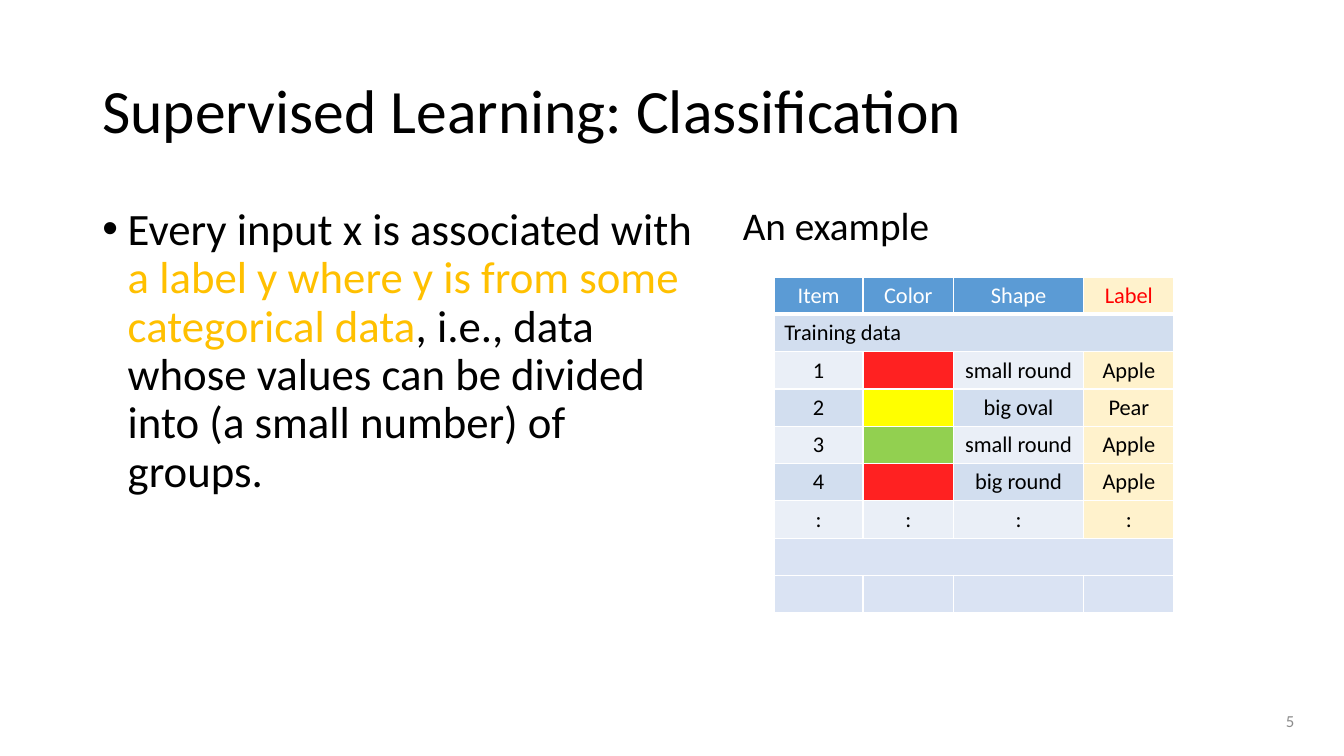
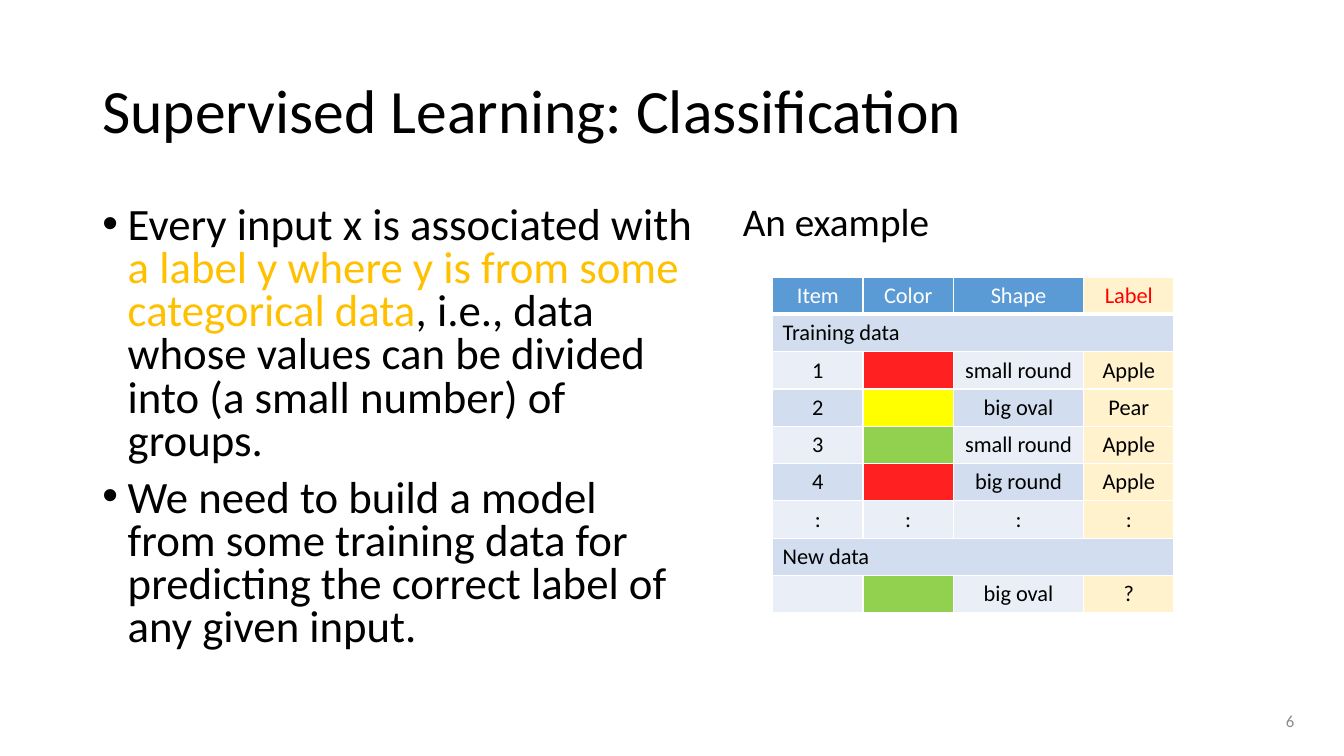
from dataclasses import dataclass

from lxml import etree
from pptx import Presentation
from pptx.dml.color import RGBColor
from pptx.enum.text import MSO_ANCHOR, PP_ALIGN
from pptx.oxml.ns import qn
from pptx.util import Cm, Pt

LEFT, CENTER, RIGHT = PP_ALIGN.LEFT, PP_ALIGN.CENTER, PP_ALIGN.RIGHT
TOP, MIDDLE = MSO_ANCHOR.TOP, MSO_ANCHOR.MIDDLE
BLANK_LAYOUT = 6


@dataclass(frozen=True)
class Theme:
    font: str = "Calibri"
    title_size: int = 44
    body_size: int = 32
    caption_size: int = 28
    table_size: int = 16
    number_size: int = 12
    text: str = "000000"
    accent: str = "FFC000"
    muted: str = "8C8C8C"
    white: str = "FFFFFF"
    header: str = "5B9BD5"
    dark_band: str = "D2DEEF"
    light_band: str = "EAEFF7"
    pending: str = "DAE3F3"
    label: str = "FFF2CC"
    label_text: str = "FF0000"


@dataclass(frozen=True)
class Box:
    """A rectangle in centimetres."""
    left: float
    top: float
    width: float
    height: float

    def lengths(self):
        return [Cm(side) for side in (self.left, self.top, self.width, self.height)]


THEME = Theme()
PAGE = Box(0, 0, 33.87, 19.05)
TITLE = Box(2.33, 1.01, 29.21, 3.68)
BODY = Box(2.33, 5.08, 15.4, 12.09)
EXAMPLE = Box(18.47, 5.08, 14.4, 12.09)
NUMBER = Box(25.25, 17.66, 7.62, 1.01)

# The table sits inside the example box.
TABLE_DROP, TABLE_RIGHT_GAP, ROW_HEIGHT = 1.9, 3.28, 0.94
COLUMN_WIDTHS = (2.28, 3.28, 2.28)
LABEL_COLUMN = 3

RED, YELLOW, GREEN = "FF2121", "FFFF00", "92D050"
HEADINGS = ("Item", "Color", "Shape", "Label")
TRAINING_ROWS = [
    "Training data",
    ("1", RED, "small round", "Apple"),
    ("2", YELLOW, "big oval", "Pear"),
    ("3", GREEN, "small round", "Apple"),
    ("4", RED, "big round", "Apple"),
    (":", ":", ":", ":"),
]
PENDING_ROWS = ["", ("", "", "", "")]
NEW_ROWS = ["New data", ("", GREEN, "big oval", "?")]

DEFINITION = [
    ("Every input x is associated with ", THEME.text),
    ("a label y where y is from some categorical data", THEME.accent),
    (", i.e., data whose values can be divided into (a small number) of groups.", THEME.text),
]
TASK = [
    ("We need to build a model from some training data for predicting the "
     "correct label of any given input.", THEME.text),
]


def add_bullet(para):
    properties = para._p.get_or_add_pPr()
    properties.set("marL", str(Cm(0.64)))
    properties.set("indent", str(Cm(-0.64)))
    etree.SubElement(properties, qn("a:buFont")).set("typeface", "Arial")
    etree.SubElement(properties, qn("a:buChar")).set("char", "•")


def write_spans(para, spans, size):
    for text, color in spans:
        span = para.add_run()
        span.text = text
        span.font.name = THEME.font
        span.font.size = Pt(size)
        span.font.bold = False
        span.font.color.rgb = RGBColor.from_string(color)


def add_text(page, box, paragraphs, size, spacing=1.0, align=LEFT, anchor=TOP, bullets=False):
    """Place paragraphs, each a list of (text, colour) spans, in a box."""
    frame = page.shapes.add_textbox(*box.lengths()).text_frame
    frame.word_wrap = True
    frame.vertical_anchor = anchor
    for index, spans in enumerate(paragraphs):
        para = frame.add_paragraph() if index else frame.paragraphs[0]
        if bullets:
            add_bullet(para)
        para.alignment = align
        para.line_spacing = spacing
        if index:
            para.space_before = Pt(10)
        write_spans(para, spans, size)


def set_borders(cell, bottom_width):
    properties = cell._tc.get_or_add_tcPr()
    for side, width in (("L", 1), ("R", 1), ("T", 1), ("B", bottom_width)):
        line = etree.SubElement(properties, qn(f"a:ln{side}"), w=str(Pt(width)))
        fill = etree.SubElement(line, qn("a:solidFill"))
        etree.SubElement(fill, qn("a:srgbClr"), val=THEME.white)


def style_cell(cell, text, fill, color=THEME.text, align=CENTER, bottom_width=1):
    set_borders(cell, bottom_width)
    cell.fill.solid()
    cell.fill.fore_color.rgb = RGBColor.from_string(fill)
    para = cell.text_frame.paragraphs[0]
    para.alignment = align
    if text:
        write_spans(para, [(text, color)], THEME.table_size)
    else:
        end = etree.SubElement(para._p, qn("a:endParaRPr"))
        end.set("sz", str(THEME.table_size * 100))


def fill_header(cells):
    for column, (cell, heading) in enumerate(zip(cells, HEADINGS)):
        is_label = column == LABEL_COLUMN
        style_cell(cell, heading, THEME.label if is_label else THEME.header,
                   THEME.label_text if is_label else THEME.white, bottom_width=3)


def fill_section(cells, text, band):
    for cell in cells:
        style_cell(cell, text if cell is cells[0] else "", band, align=LEFT)
    cells[0].merge(cells[-1])


def fill_record(cells, values, band):
    for column, (cell, value) in enumerate(zip(cells, values)):
        if value in (RED, YELLOW, GREEN):
            style_cell(cell, "", value)
        else:
            labelled = column == LABEL_COLUMN and value
            style_cell(cell, value, THEME.label if labelled else band)


def add_data_table(page, box, rows, item_width):
    """Rows given as a string span the table; the others hold one value per column."""
    widths = (item_width, *COLUMN_WIDTHS)
    total = sum(widths)
    place = Box(box.left + box.width - TABLE_RIGHT_GAP - total, box.top + TABLE_DROP,
                total, ROW_HEIGHT * (len(rows) + 1))
    table = page.shapes.add_table(len(rows) + 1, len(widths), *place.lengths()).table
    for column, width in zip(table.columns, widths):
        column.width = Cm(width)
    for row in table.rows:
        row.height = Cm(ROW_HEIGHT)
    fill_header(list(table.rows[0].cells))
    for index, values in enumerate(rows, start=1):
        cells = list(table.rows[index].cells)
        band = THEME.dark_band if index % 2 else THEME.light_band
        if not any(values):
            band = THEME.pending
        if isinstance(values, str):
            fill_section(cells, values, band)
        else:
            fill_record(cells, values, band)


def add_example(page, box, rows, item_width, spacing):
    add_text(page, box, [[("An example", THEME.text)]], THEME.caption_size, spacing)
    add_data_table(page, box, rows, item_width)


def add_classification_page(deck, number, points, closing_rows, item_width, spacing):
    page = deck.slides.add_slide(deck.slide_layouts[BLANK_LAYOUT])
    add_text(page, TITLE, [[("Supervised Learning: Classification", THEME.text)]],
             THEME.title_size, 0.9, anchor=MIDDLE)
    add_text(page, BODY, points, THEME.body_size, spacing, bullets=True)
    add_example(page, EXAMPLE, TRAINING_ROWS + closing_rows, item_width, spacing)
    add_text(page, NUMBER, [[(str(number), THEME.muted)]], THEME.number_size,
             align=RIGHT, anchor=MIDDLE)


def main():
    deck = Presentation()
    deck.slide_width, deck.slide_height = Cm(PAGE.width), Cm(PAGE.height)
    add_classification_page(deck, 5, [DEFINITION], PENDING_ROWS, 2.24, 0.9)
    add_classification_page(deck, 6, [DEFINITION, TASK], NEW_ROWS, 2.28, 0.8)
    deck.save("out.pptx")


if __name__ == "__main__":
    main()
